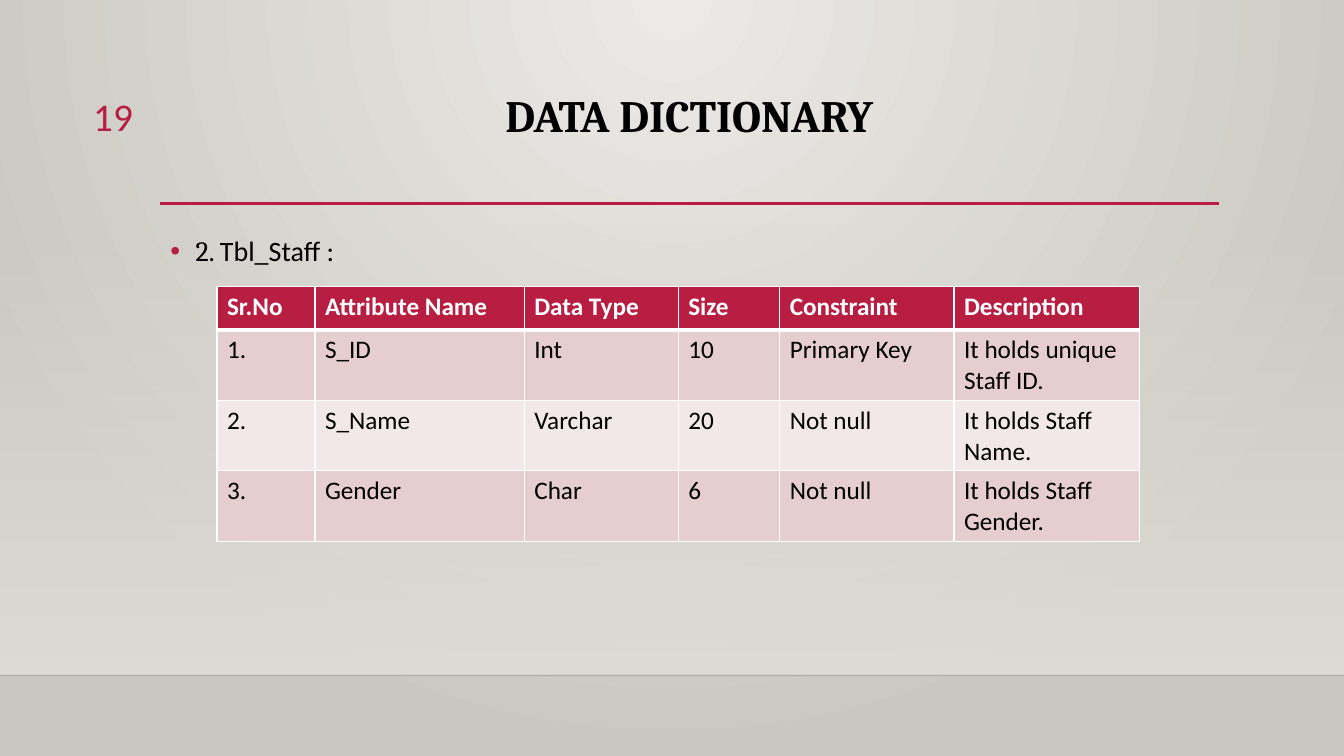
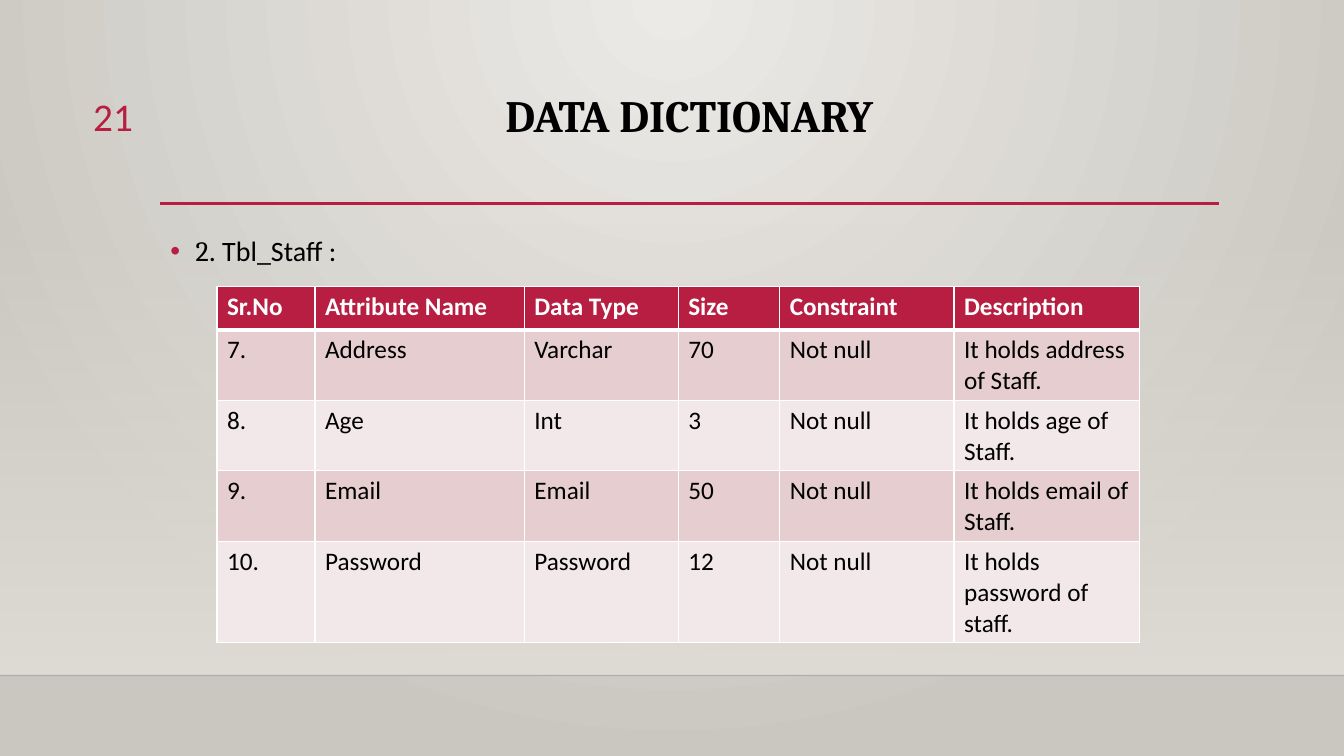
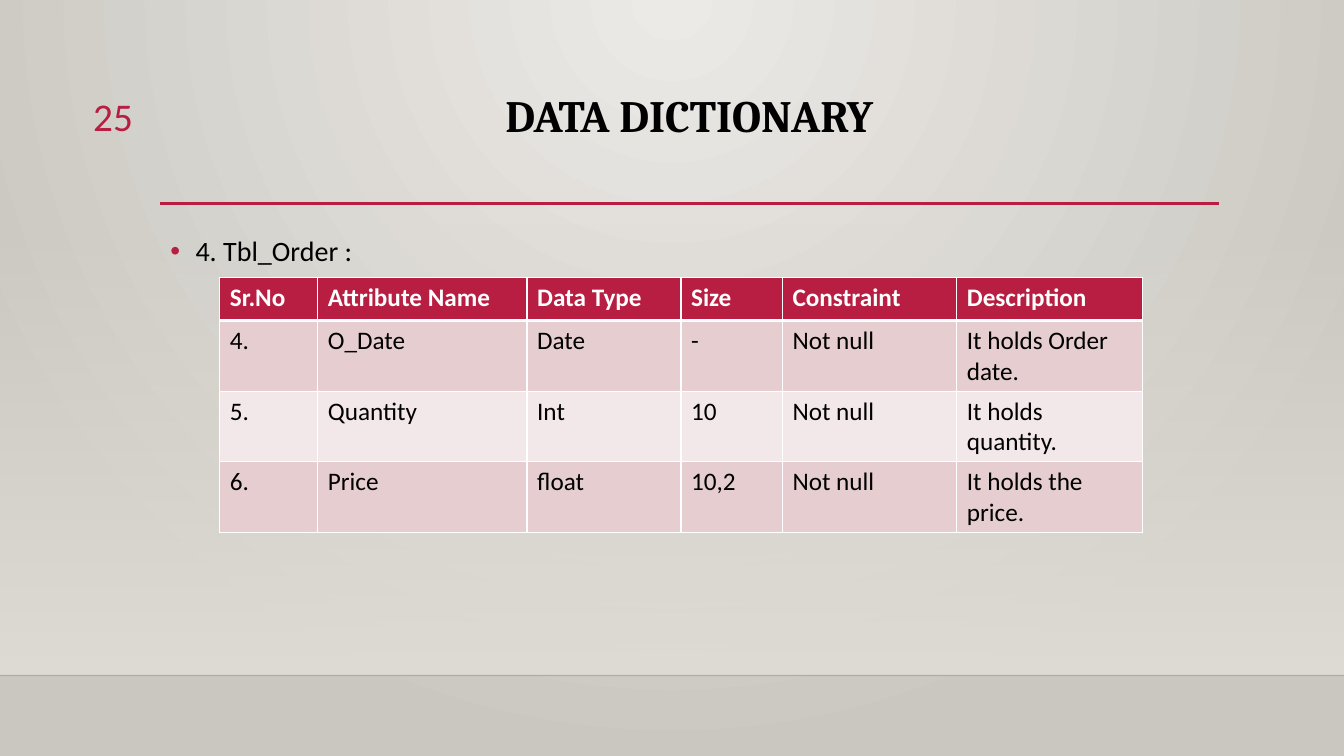
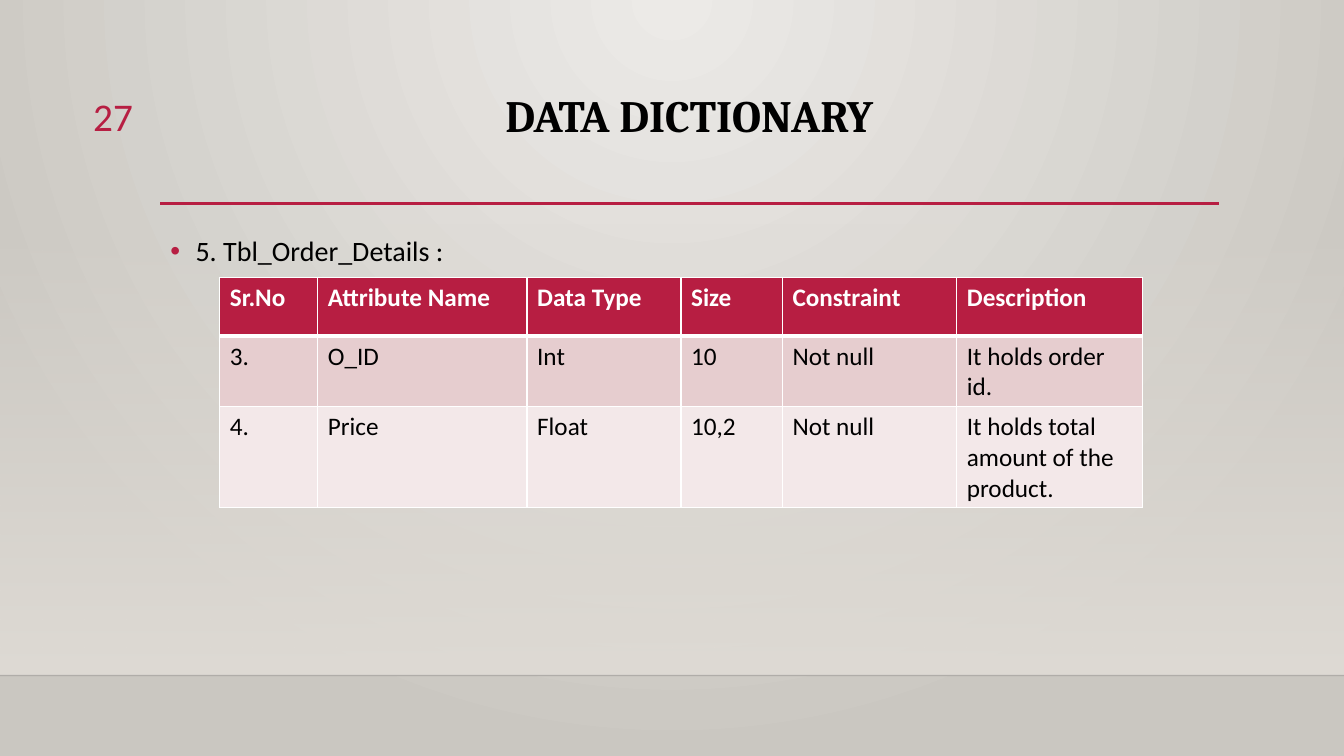
from lxml import etree
from pptx import Presentation
from pptx.dml.color import RGBColor
from pptx.enum.shapes import MSO_CONNECTOR, MSO_SHAPE
from pptx.enum.text import MSO_ANCHOR, PP_ALIGN
from pptx.oxml import parse_xml
from pptx.oxml.ns import nsdecls, qn
from pptx.util import Pt

RECTANGLE = MSO_SHAPE.RECTANGLE
STRAIGHT = MSO_CONNECTOR.STRAIGHT
TOP = MSO_ANCHOR.TOP
CENTER, RIGHT = PP_ALIGN.CENTER, PP_ALIGN.RIGHT

EMU_PER_PX = 6350
SLIDE_WIDTH, SLIDE_HEIGHT = 1920, 1080
BAND_TOP, BAND_BOTTOM = 318, 965
HEADING_FONT, BODY_FONT = "Cambria", "Calibri"
COLORS = {
    "accent": "B71E42", "text": "000000", "white": "FFFFFF",
    "glow": "ECEAE7", "edge": "CAC7C1", "band": "DFDBD5", "floor": "000001",
    "row_odd": "E6CDCF", "row_even": "F3E8E9",
}

HEADER = ["Sr.No", "Attribute Name", "Data Type", "Size", "Constraint", "Description"]
COLUMN_WIDTHS = [140, 299, 220, 145, 249, 265]
ROW_HEIGHT = 62

SLIDES = [
    {
        "number": "19",
        "caption": [("2. ", HEADING_FONT), ("Tbl_Staff :", BODY_FONT)],
        "table_at": (310, 409),
        "rows": [
            ["1.", "S_ID", "Int", "10", "Primary Key", "It holds unique Staff ID."],
            ["2.", "S_Name", "Varchar", "20", "Not null", "It holds Staff Name."],
            ["3.", "Gender", "Char", "6", "Not null", "It holds Staff Gender."],
        ],
    },
    {
        "number": "21",
        "caption": [("2", HEADING_FONT), (". Tbl_Staff :", BODY_FONT)],
        "table_at": (310, 409),
        "rows": [
            ["7.", "Address", "Varchar", "70", "Not null", "It holds address of Staff."],
            ["8.", "Age", "Int", "3", "Not null", "It holds age of Staff."],
            ["9.", "Email", "Email", "50", "Not null", "It holds email of Staff."],
            ["10.", "Password", "Password", "12", "Not null", "It holds password of staff."],
        ],
    },
    {
        "number": "25",
        "caption": [("4. Tbl_Order :", BODY_FONT)],
        "table_at": (314, 396),
        "rows": [
            ["4.", "O_Date", "Date", "-", "Not null", "It holds Order date."],
            ["5.", "Quantity", "Int", "10", "Not null", "It holds quantity."],
            ["6.", "Price", "float", "10,2", "Not null", "It holds the price."],
        ],
    },
    {
        "number": "27",
        "caption": [("5. Tbl_Order_Details :", BODY_FONT)],
        "table_at": (314, 396),
        "header_height": 84,
        "rows": [
            ["3.", "O_ID", "Int", "10", "Not null", "It holds order id."],
            ["4.", "Price", "Float", "10,2", "Not null", "It holds total amount of the product."],
        ],
    },
]


def px(value):
    return value * EMU_PER_PX


def rgb(name):
    return RGBColor.from_string(COLORS[name])


def place(shape, left, top, width, height):
    shape.left, shape.top, shape.width, shape.height = map(px, (left, top, width, height))


def style_font(font, size, color, name=None, bold=False):
    font.size, font.bold = Pt(size), bold
    font.color.rgb = rgb(color)
    if name:
        font.name = name


def gradient(stops, direction):
    """Return a gradFill element; stops are (position, colour name, opacity) in percent."""
    stop_xml = "".join(
        f'<a:gs pos="{position * 1000}"><a:srgbClr val="{COLORS[color]}">'
        f'<a:alpha val="{opacity * 1000}"/></a:srgbClr></a:gs>'
        for position, color, opacity in stops)
    return parse_xml(f'<a:gradFill {nsdecls("a")} rotWithShape="1">'
                     f'<a:gsLst>{stop_xml}</a:gsLst>{direction}</a:gradFill>')


def set_background(master):
    """Give all slides a round glow from the top centre."""
    common = master._element.cSld
    for old in common.findall(qn("p:bg")):
        common.remove(old)
    background = parse_xml(f'<p:bg {nsdecls("p", "a")}><p:bgPr><a:effectLst/></p:bgPr></p:bg>')
    background[0].insert(0, gradient(
        [(0, "glow", 100), (100, "edge", 100)],
        '<a:path path="circle"><a:fillToRect l="43000" t="0" r="43000" b="100000"/></a:path>'))
    common.insert(0, background)


def add_band(slide):
    band = slide.shapes.add_shape(
        RECTANGLE, 0, px(BAND_TOP), px(SLIDE_WIDTH), px(BAND_BOTTOM - BAND_TOP))
    band.shadow.inherit = False
    band.line.fill.background()
    band.fill.gradient()
    properties = band._element.spPr
    properties.replace(
        properties.find(qn("a:gradFill")),
        gradient([(0, "band", 0), (100, "band", 100)], '<a:lin ang="5400000" scaled="0"/>'))
    return band


def add_rule(slide, left, right, y, color, width, opacity=100):
    rule = slide.shapes.add_connector(STRAIGHT, px(left), px(y), px(right), px(y))
    rule.line.width = Pt(width)
    rule.line.color.rgb = rgb(color)
    properties = rule._element.spPr
    etree.SubElement(properties, qn("a:effectLst"))
    if opacity < 100:
        color_element = properties.find(".//" + qn("a:srgbClr"))
        etree.SubElement(color_element, qn("a:alpha"), val=str(opacity * 1000))
    return rule


def set_up_layout(layout, slide):
    """Place the layout's title and body; draw the shared parts on slide and move them there."""
    title, body = layout.placeholders[0], layout.placeholders[1]
    place(title, 229, 127, 1512, 166)
    place(body, 229, 317, 1512, 543)
    title.text_frame.vertical_anchor = TOP
    shared = [
        add_band(slide),
        add_rule(slide, 0, SLIDE_WIDTH, BAND_BOTTOM, "floor", 1, opacity=20),
        add_rule(slide, 229, 1742, 291, "accent", 2.5),
    ]
    for index, shape in enumerate(shared, start=2):
        layout.shapes._spTree.insert(index, shape._element)


def set_title(slide, text):
    slide.shapes.title.text = text
    paragraph = slide.shapes.title.text_frame.paragraphs[0]
    paragraph.alignment = CENTER
    paragraph.line_spacing = 0.9
    style_font(paragraph.font, 32, "text", HEADING_FONT, bold=True)


def set_caption(slide, runs):
    paragraph = slide.placeholders[1].text_frame.paragraphs[0]
    properties = paragraph._p.get_or_add_pPr()
    properties.set("marL", str(px(36)))
    properties.set("indent", str(px(-36)))
    bullet_color = etree.SubElement(properties, qn("a:buClr"))
    etree.SubElement(bullet_color, qn("a:srgbClr"), val=COLORS["accent"])
    etree.SubElement(properties, qn("a:buFont"), typeface="Arial")
    etree.SubElement(properties, qn("a:buChar"), char="•")
    paragraph.line_spacing = 1.2
    paragraph.space_before = Pt(0)
    style_font(paragraph.font, 20, "text")
    for text, font_name in runs:
        run = paragraph.add_run()
        run.text = text
        run.font.name = font_name


def add_number(slide, text):
    box = slide.shapes.add_textbox(px(76), px(125), px(128), px(79))
    box.text_frame.word_wrap = True
    paragraph = box.text_frame.paragraphs[0]
    paragraph.text = text
    paragraph.alignment = RIGHT
    style_font(paragraph.font, 28, "accent", BODY_FONT)


def set_borders(cell, widths):
    properties = cell._tc.get_or_add_tcPr()
    for side, width in widths.items():
        properties.append(parse_xml(
            f'<a:ln{side} {nsdecls("a")} w="{Pt(width)}"><a:solidFill>'
            f'<a:srgbClr val="{COLORS["white"]}"/></a:solidFill></a:ln{side}>'))


def fill_cell(cell, text, row_index):
    is_header = row_index == 0
    set_borders(cell, {"L": 1, "R": 1, "T": 3 if row_index == 1 else 1, "B": 3 if is_header else 1})
    cell.fill.solid()
    cell.fill.fore_color.rgb = rgb(
        "accent" if is_header else "row_odd" if row_index % 2 else "row_even")
    cell.text = text
    style_font(cell.text_frame.paragraphs[0].font, 18,
               "white" if is_header else "text", BODY_FONT, bold=is_header)


def add_attribute_table(slide, left, top, rows, header_height):
    heights = [header_height] + [ROW_HEIGHT] * len(rows)
    table = slide.shapes.add_table(
        len(heights), len(HEADER), px(left), px(top),
        px(sum(COLUMN_WIDTHS)), px(sum(heights))).table
    table.horz_banding = False
    for column, width in zip(table.columns, COLUMN_WIDTHS):
        column.width = px(width)
    for row_index, texts in enumerate([HEADER] + rows):
        table.rows[row_index].height = px(heights[row_index])
        for column_index, text in enumerate(texts):
            fill_cell(table.cell(row_index, column_index), text, row_index)


def main():
    presentation = Presentation()
    presentation.slide_width, presentation.slide_height = px(SLIDE_WIDTH), px(SLIDE_HEIGHT)
    set_background(presentation.slide_master)
    layout = presentation.slide_layouts[1]
    slides = [presentation.slides.add_slide(layout) for _ in SLIDES]
    set_up_layout(layout, slides[0])
    for slide, content in zip(slides, SLIDES):
        set_title(slide, "DATA DICTIONARY")
        set_caption(slide, content["caption"])
        add_number(slide, content["number"])
        add_attribute_table(slide, *content["table_at"], content["rows"],
                            content.get("header_height", ROW_HEIGHT))
    presentation.save("out.pptx")


if __name__ == "__main__":
    main()
